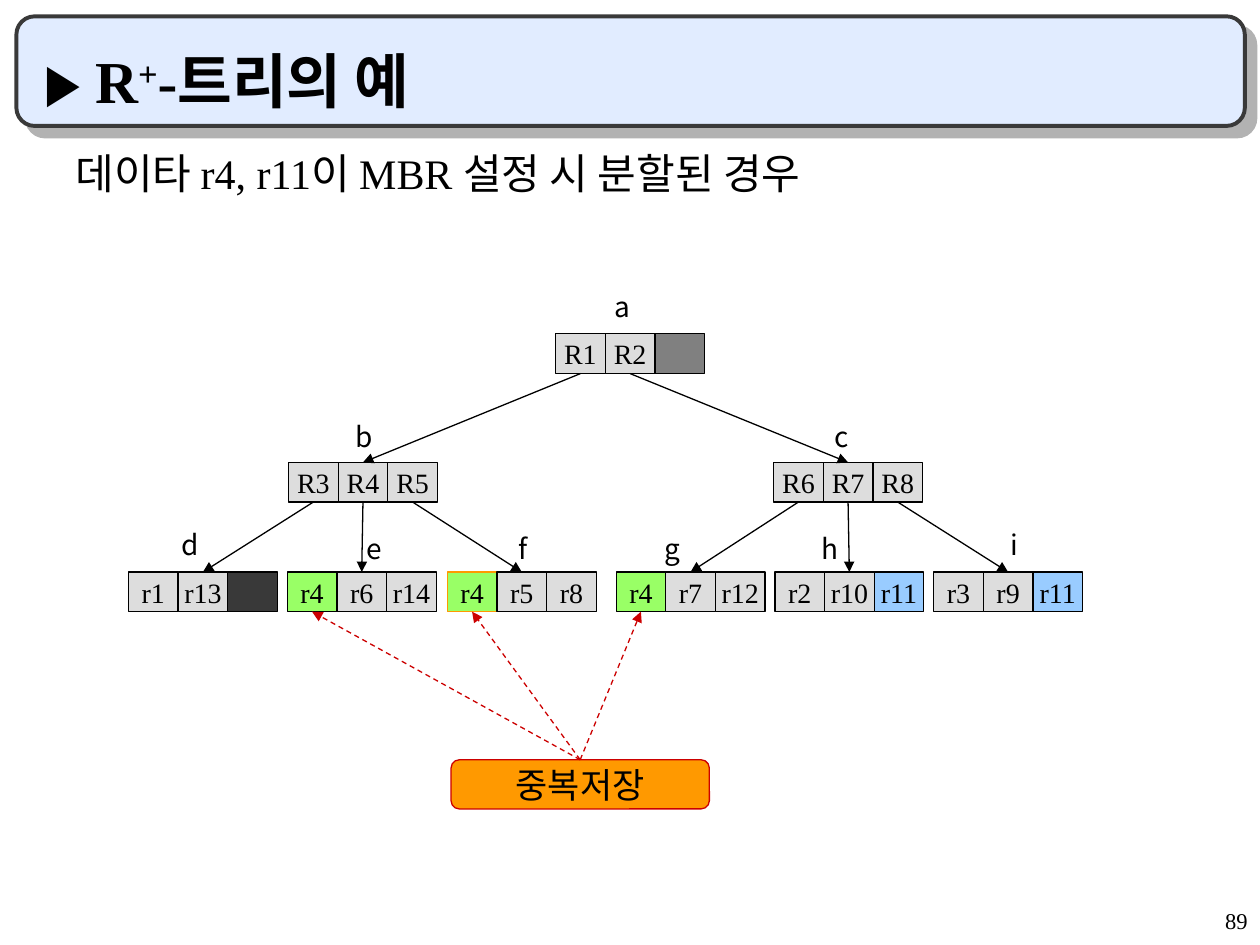
from lxml.etree import SubElement
from pptx import Presentation
from pptx.dml.color import RGBColor
from pptx.enum.dml import MSO_LINE
from pptx.enum.shapes import MSO_CONNECTOR, MSO_SHAPE
from pptx.enum.text import MSO_ANCHOR, PP_ALIGN
from pptx.oxml.ns import qn
from pptx.util import Inches, Pt

COLORS = {
    "black": "000000", "banner": "E1ECFF", "edge": "393939", "shadow": "B2B2B2",
    "cell": "DDDDDD", "gray": "808080", "dark": "393939", "green": "99FF66",
    "blue": "99CCFF", "orange": "FF9900", "red": "CC0000",
}
LATIN, KOREAN = "Times New Roman", "Noto Sans CJK KR"
CELL_WIDTH, CELL_HEIGHT = 0.394, 0.315
ROOT_TOP, BRANCH_TOP, LEAF_TOP = 2.65, 3.67, 4.54
NODES = {
    "a": (4.41, ROOT_TOP, ["R1", "R2", ""], {2: "gray"}),
    "b": (2.29, BRANCH_TOP, ["R3", "R4", "R5"], {}),
    "c": (6.14, BRANCH_TOP, ["R6", "R7", "R8"], {}),
    "d": (1.02, LEAF_TOP, ["r1", "r13", ""], {2: "dark"}),
    "e": (2.28, LEAF_TOP, ["r4", "r6", "r14"], {0: "green"}),
    "f": (3.55, LEAF_TOP, ["r4", "r5", "r8"], {0: "green"}),
    "g": (4.89, LEAF_TOP, ["r4", "r7", "r12"], {0: "green"}),
    "h": (6.15, LEAF_TOP, ["r2", "r10", "r11"], {2: "blue"}),
    "i": (7.41, LEAF_TOP, ["r3", "r9", "r11"], {2: "blue"}),
}
CHILDREN = {"a": "bc", "b": "def", "c": "ghi"}
LABELS = {
    "a": (4.35, 2.25), "b": (2.3, 3.28), "c": (6.09, 3.28),
    "d": (0.92, 4.14), "e": (2.38, 4.17), "f": (3.56, 4.17),
    "g": (4.75, 4.17), "h": (6, 4.17), "i": (7.46, 4.14),
}


def color(name):
    """Return the named colour."""
    return RGBColor.from_string(COLORS[name])


def apply_format(target, values):
    """Set every attribute in values on the target."""
    for name, value in values.items():
        setattr(target, name, value)


def add_span(para, text, size, face=LATIN, bold=False, baseline=None):
    """Append one formatted run to a paragraph."""
    span = para.add_run()
    span.text = text
    apply_format(span.font, {"size": Pt(size), "name": face, "bold": bold})
    span.font.color.rgb = color("black")
    properties = span.font._element
    SubElement(properties, qn("a:ea")).set("typeface", KOREAN)
    if baseline:
        properties.set("baseline", str(baseline))


def add_text(page, box, spans, frame_format=None, para_format=None):
    """Place a text box with one paragraph and return the paragraph."""
    frame = page.shapes.add_textbox(*map(Inches, box)).text_frame
    apply_format(frame, {"word_wrap": True, **(frame_format or {})})
    para = frame.paragraphs[0]
    apply_format(para, para_format or {})
    for span in spans:
        add_span(para, **span)
    return para


def add_block(page, box, kind, fill, line, weight=0.75, text="", size=16):
    """Place a filled, outlined shape with centred text."""
    block = page.shapes.add_shape(kind, *map(Inches, box))
    block.shadow.inherit = False
    block.fill.solid()
    block.fill.fore_color.rgb = color(fill)
    block.line.color.rgb = color(line)
    block.line.width = Pt(weight)
    if text:
        frame = block.text_frame
        apply_format(frame, {"word_wrap": False, "vertical_anchor": MSO_ANCHOR.MIDDLE})
        frame.paragraphs[0].alignment = PP_ALIGN.CENTER
        add_span(frame.paragraphs[0], text, size)
    return block


def add_arrow(page, start, end, line="black", dash=None):
    """Draw a line with an arrowhead at its end."""
    arrow = page.shapes.add_connector(MSO_CONNECTOR.STRAIGHT, *map(Inches, start + end))
    arrow.line.color.rgb = color(line)
    apply_format(arrow.line, {"width": Pt(0.75), "dash_style": dash})
    SubElement(arrow.line._get_or_add_ln(), qn("a:tailEnd")).set("type", "triangle")
    SubElement(arrow._element.spPr, qn("a:effectLst"))


def cell_point(name, index, below=False):
    """Return the middle of a cell's top or bottom edge."""
    left, top = NODES[name][:2]
    return left + (index + 0.5) * CELL_WIDTH, top + below * CELL_HEIGHT


def add_banner(page, box):
    """Draw the title bar with its hard shadow and the title."""
    left, top, width, height = box
    bar = add_block(page, box, MSO_SHAPE.ROUNDED_RECTANGLE, "banner", "edge", 2.25)
    effects = bar._element.spPr.find(qn("a:effectLst"))
    shadow = SubElement(effects, qn("a:outerShdw"), dist=str(Pt(8.5)), dir="2700000",
                        algn="ctr", rotWithShape="0")
    SubElement(shadow, qn("a:srgbClr"), val=COLORS["shadow"])
    spans = [
        {"text": "▶ ", "size": 32, "bold": True},
        {"text": "R", "size": 34, "bold": True},
        {"text": "+", "size": 34, "bold": True, "baseline": 30000},
        {"text": "-트리의 예", "size": 34, "bold": True},
    ]
    add_text(page, (left + 0.12, top + 0.12, width - 0.33, height - 0.2), spans,
             {"vertical_anchor": MSO_ANCHOR.BOTTOM, "margin_top": 0, "margin_bottom": 0})


def add_statement(page, box):
    """Write the sentence under the title with a hanging indent."""
    para = add_text(page, box, [{"text": "데이타 r4, r11이 MBR 설정 시 분할된 경우", "size": 24}],
                    para_format={"line_spacing": 0.7})
    properties = para._p.get_or_add_pPr()
    properties.set("marL", str(Inches(0.81)))
    properties.set("indent", str(Inches(-0.31)))


def add_node(page, left, top, texts, fills, first_line="black"):
    """Draw one tree node as a row of cells."""
    for index, text in enumerate(texts):
        box = (left + index * CELL_WIDTH, top, CELL_WIDTH, CELL_HEIGHT)
        add_block(page, box, MSO_SHAPE.RECTANGLE, fills.get(index, "cell"),
                  "black" if index else first_line, text=text)


def add_tree(page):
    """Draw the nodes, their labels and the arrows between them."""
    for name, node in NODES.items():
        add_node(page, *node, first_line="orange" if name == "f" else "black")
    for parent, children in CHILDREN.items():
        for index, child in enumerate(children):
            add_arrow(page, cell_point(parent, index, True), cell_point(child, 1))
    for name, corner in LABELS.items():
        add_text(page, (*corner, 1.18, 0.37), [{"text": name, "size": 16, "face": KOREAN}],
                 para_format={"alignment": PP_ALIGN.CENTER})


def add_callout(page, box, targets):
    """Draw the callout and its dashed arrows to the repeated entries."""
    left, top, width, _ = box
    block = add_block(page, box, MSO_SHAPE.ROUNDED_RECTANGLE, "orange", "red",
                      text="중복저장", size=20)
    block.adjustments[0] = 0.167
    for name in targets:
        add_arrow(page, (left + width / 2, top), cell_point(name, 0, True),
                  "red", MSO_LINE.DASH)


def add_page_number(page, box):
    """Write the page number."""
    add_text(page, box, [{"text": "89", "size": 12.9}],
             para_format={"alignment": PP_ALIGN.RIGHT, "line_spacing": 0.9})


def main():
    """Build and save the deck."""
    deck = Presentation()
    apply_format(deck, {"slide_width": Inches(10), "slide_height": Inches(7.5)})
    page = deck.slides.add_slide(deck.slide_layouts[6])
    add_banner(page, (0.13, 0.13, 9.75, 0.87))
    add_page_number(page, (7.92, 7.17, 2.08, 0.33))
    add_tree(page)
    add_callout(page, (3.58, 6.03, 2.05, 0.39), "efg")
    add_statement(page, (0, 1.23, 7.28, 0.38))
    deck.save("out.pptx")


if __name__ == "__main__":
    main()
